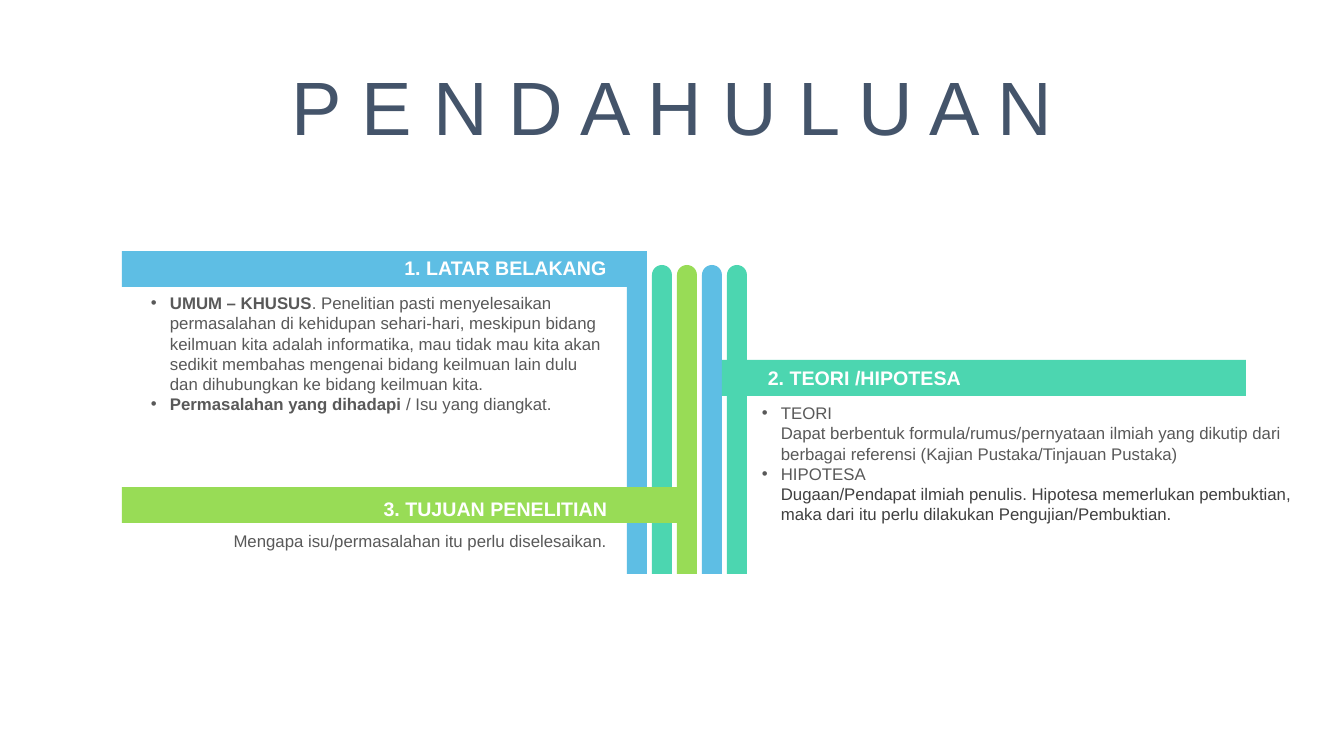
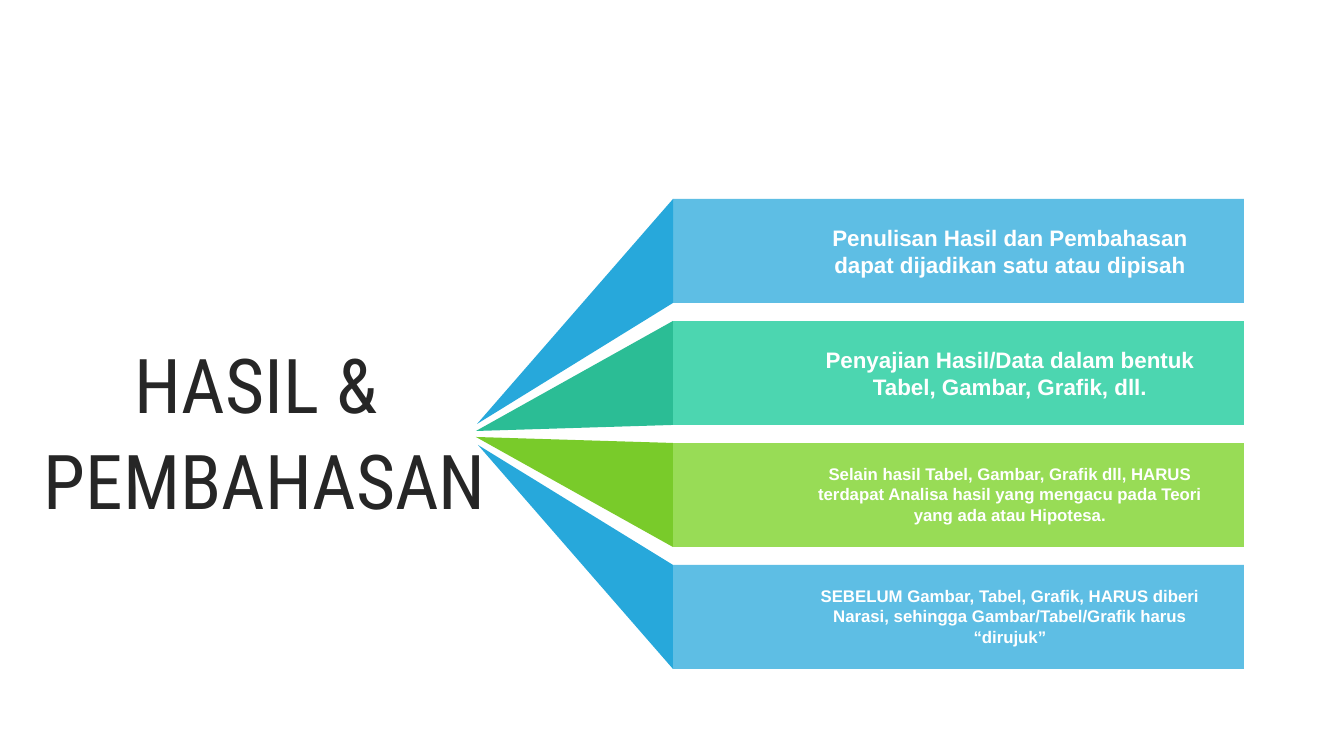
from lxml.etree import SubElement
from pptx import Presentation
from pptx.dml.color import RGBColor
from pptx.enum.shapes import MSO_SHAPE as Shape
from pptx.enum.text import MSO_ANCHOR as Anchor, PP_ALIGN as Align
from pptx.oxml.ns import qn
from pptx.util import Pt

PX = 12192000 / 1344  # EMU per px

WHITE = RGBColor(0xFF, 0xFF, 0xFF)
BLUE = RGBColor(0x5E, 0xBE, 0xE4)
TEAL = RGBColor(0x4C, 0xD6, 0xB0)
GREEN = RGBColor(0x98, 0xDC, 0x56)
DARK_BLUE = RGBColor(0x27, 0xA8, 0xDB)
DARK_TEAL = RGBColor(0x2B, 0xBD, 0x95)
DARK_GREEN = RGBColor(0x79, 0xCB, 0x2A)
SLATE = RGBColor(0x44, 0x54, 0x6A)
INK = RGBColor(0x26, 0x26, 0x26)
CHARCOAL = RGBColor(0x40, 0x40, 0x40)
GRAY = RGBColor(0x59, 0x59, 0x59)

TITLE = dict(size=54, align=Align.CENTER, anchor=Anchor.MIDDLE, line_spacing=0.9, gap=10)
HEADING = dict(color=WHITE, bold=True, align=Align.CENTER)
BULLET_INDENT = round(19 * PX)


def paint(shape, color):
    shape.shadow.inherit = False
    shape.fill.solid()
    shape.fill.fore_color.rgb = color
    shape.line.fill.background()


def add_text(slide, box, paragraphs, size=12, color=GRAY, bold=False, font="Arial",
             align=Align.LEFT, anchor=Anchor.TOP, line_spacing=None, gap=0, bullets=()):
    """Each paragraph is a string or a list of (text, bold, color) runs."""
    frame = slide.shapes.add_textbox(*[round(n * PX) for n in box]).text_frame
    frame.word_wrap = True
    frame.vertical_anchor = anchor
    for index, runs in enumerate(paragraphs):
        paragraph = frame.add_paragraph() if index else frame.paragraphs[0]
        paragraph.alignment = align
        if line_spacing:
            paragraph.line_spacing = line_spacing
        if index and gap:
            paragraph.space_before = Pt(gap)
        if bullets:
            properties = paragraph._p.get_or_add_pPr()
            properties.set("marL", str(BULLET_INDENT))
            if index in bullets:
                properties.set("indent", str(-BULLET_INDENT))
                SubElement(properties, qn("a:buFont")).set("typeface", "Arial")
                SubElement(properties, qn("a:buChar")).set("char", "•")
        if isinstance(runs, str):
            runs = [(runs, bold, color)]
        for text, run_bold, run_color in runs:
            run = paragraph.add_run()
            run.text = text
            run.font.name = font
            run.font.size = Pt(size)
            run.font.bold = run_bold
            run.font.color.rgb = run_color


presentation = Presentation()
presentation.slide_width = round(1344 * PX)
presentation.slide_height = round(756 * PX)
blank = presentation.slide_layouts[6]

# Slide 1: introduction
slide = presentation.slides.add_slide(blank)

# Upright bars, evenly spaced
for index, color in enumerate([BLUE, TEAL, GREEN, BLUE, TEAL]):
    bar = slide.shapes.add_shape(
        Shape.ROUND_2_SAME_RECTANGLE,
        *[round(n * PX) for n in (627 + 25 * index, 265, 20, 309)])
    bar.adjustments[0] = 0.5
    paint(bar, color)

# Banners with headings: left, top, width, colour, heading box, heading
for left, top, width, color, heading_box, heading in [
    (722, 360, 524, TEAL, (748, 361, 233, 34), "2. TEORI /HIPOTESA"),
    (122, 251, 525, BLUE, (391, 251, 229, 34), "1. LATAR BELAKANG"),
    (122, 487, 567, GREEN, (371, 492, 249, 34), "3. TUJUAN PENELITIAN"),
]:
    banner = slide.shapes.add_shape(
        Shape.RECTANGLE, *[round(n * PX) for n in (left, top, width, 36)])
    paint(banner, color)
    add_text(slide, heading_box, [heading], size=14, **HEADING)

# Body texts
add_text(slide, (752, 398, 552, 132), [
    "TEORI",
    "Dapat berbentuk formula/rumus/pernyataan ilmiah yang dikutip dari berbagai "
    "referensi (Kajian Pustaka/Tinjauan Pustaka)",
    "HIPOTESA",
    [("Dugaan/Pendapat ilmiah penulis. Hipotesa memerlukan pembuktian, maka dari itu "
      "perlu dilakukan Pengujian/Pembuktian.", False, CHARCOAL)],
], bullets=(0, 2))
add_text(slide, (141, 288, 475, 132), [
    [("UMUM – KHUSUS", True, GRAY),
     (". Penelitian pasti menyelesaikan permasalahan di kehidupan sehari-hari, meskipun "
      "bidang keilmuan kita adalah informatika, mau tidak mau kita akan sedikit membahas "
      "mengenai bidang keilmuan lain dulu dan dihubungkan ke bidang keilmuan kita.",
      False, GRAY)],
    [("Permasalahan yang dihadapi", True, GRAY), (" / Isu yang diangkat.", False, GRAY)],
], bullets=(0, 1))
add_text(slide, (142, 526, 475, 30),
         ["Mengapa isu/permasalahan itu perlu diselesaikan."], align=Align.RIGHT)

add_text(slide, (34, 71, 1276, 80), ["P E N D A H U L U A N"], color=SLATE, **TITLE)

# Slide 2: results and discussion
slide = presentation.slides.add_slide(blank)
add_text(slide, (27, 397, 476, 80), ["HASIL & ", "PEMBAHASAN"],
         color=INK, font="Roboto Condensed", **TITLE)

# Rows with wedges: row colour, wedge colour, wedge tip, text size, text height, text
ROW_LEFT, ROW_TOP, ROW_WIDTH, ROW_HEIGHT, ROW_STEP = 673, 199, 571, 104, 122
for index, (color, wedge_color, tip, size, height, text) in enumerate([
    (BLUE, DARK_BLUE, (477, 424), 16, 64,
     "Penulisan Hasil dan Pembahasan dapat dijadikan satu atau dipisah"),
    (TEAL, DARK_TEAL, (476, 431), 16, 64,
     "Penyajian Hasil/Data dalam bentuk Tabel, Gambar, Grafik, dll."),
    (GREEN, DARK_GREEN, (476, 437), 12, 72,
     "Selain hasil Tabel, Gambar, Grafik dll, HARUS terdapat Analisa hasil yang "
     "mengacu pada Teori yang ada atau Hipotesa."),
    (BLUE, DARK_BLUE, (478, 445), 12, 72,
     "SEBELUM Gambar, Tabel, Grafik, HARUS diberi Narasi, sehingga "
     "Gambar/Tabel/Grafik harus “dirujuk”"),
]):
    top = ROW_TOP + ROW_STEP * index
    row = slide.shapes.add_shape(
        Shape.RECTANGLE, *[round(n * PX) for n in (ROW_LEFT, top, ROW_WIDTH, ROW_HEIGHT)])
    paint(row, color)
    builder = slide.shapes.build_freeform(ROW_LEFT, top, scale=PX)
    builder.add_line_segments([(ROW_LEFT, top + ROW_HEIGHT), tip], close=True)
    paint(builder.convert_to_shape(), wedge_color)
    add_text(slide, (808, top + (ROW_HEIGHT - height) // 2, 404, height), [text],
             size=size, **HEADING)

presentation.save("out.pptx")
